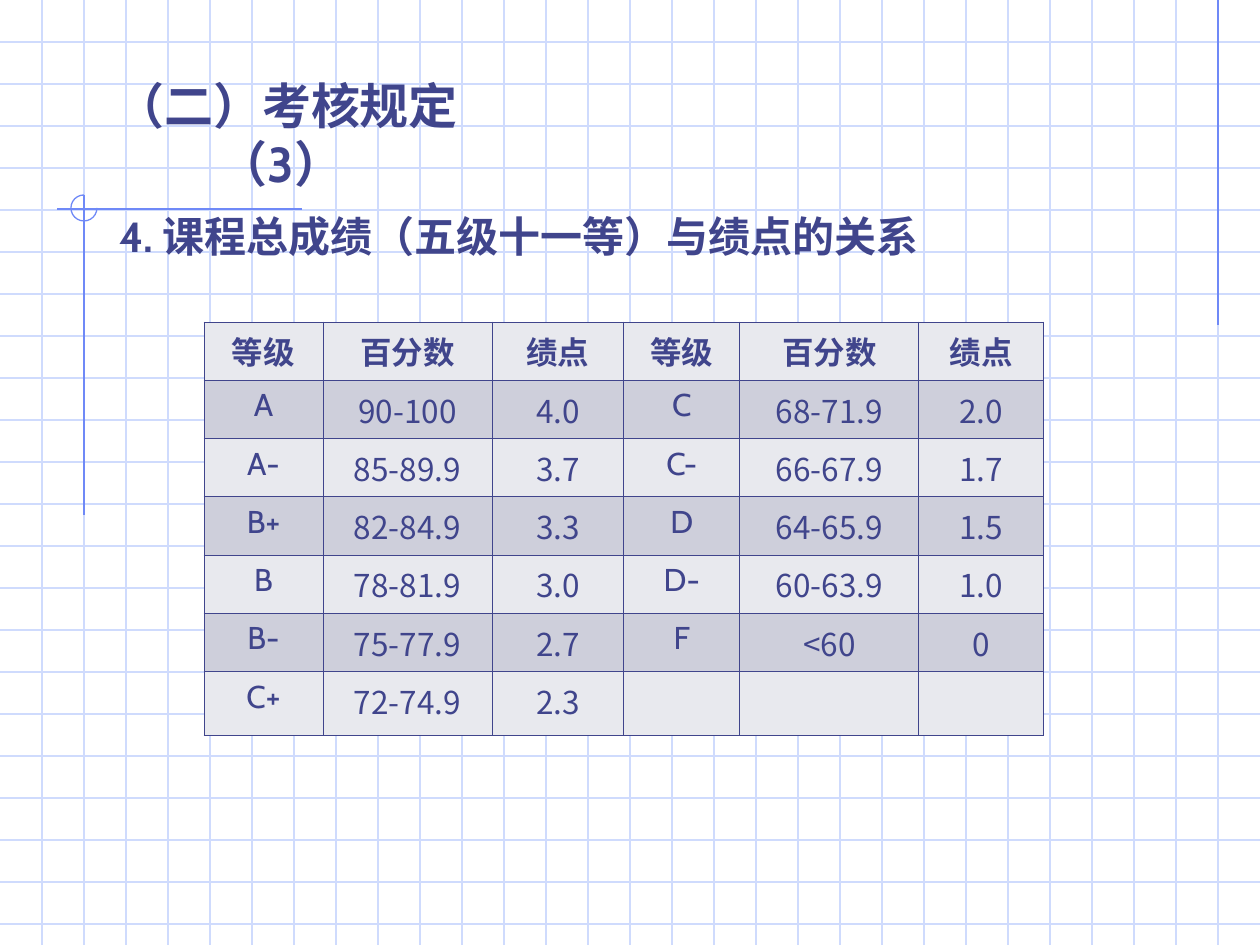
from dataclasses import dataclass

import lxml.etree
import pptx
import pptx.dml.color
import pptx.enum.shapes
import pptx.enum.text
import pptx.oxml.ns
import pptx.util

PX = 914400 / 126  # EMU per px
SLIDE_W, SLIDE_H = 1260, 945
GRID_STEP = 42
qn = pptx.oxml.ns.qn


@dataclass(frozen=True)
class Theme:
    ink: str = "40458C"
    title_space: str = "660066"
    grid: str = "CFDBFD"
    accent: str = "6F89F7"
    light_row: str = "E8E9EE"
    dark_row: str = "CECFDB"
    latin: str = "Cabin"
    chinese: str = "Noto Sans CJK SC"
    title_size: int = 28
    heading_size: int = 24
    cell_size: int = 18
    empty_cell_size: int = 20
    rule_width: float = 0.75
    border_width: float = 0.45


@dataclass(frozen=True)
class Rule:
    x1: int
    y1: int
    x2: int
    y2: int
    color: str


@dataclass(frozen=True)
class Span:
    text: str
    size: int
    color: str
    bold: bool = True
    font: str = "Cabin"


THEME = Theme()

GRADES = [
    ("等级", "百分数", "绩点", "等级", "百分数", "绩点"),
    ("A", "90-100", "4.0", "C", "68-71.9", "2.0"),
    ("A-", "85-89.9", "3.7", "C-", "66-67.9", "1.7"),
    ("B+", "82-84.9", "3.3", "D", "64-65.9", "1.5"),
    ("B", "78-81.9", "3.0", "D-", "60-63.9", "1.0"),
    ("B-", "75-77.9", "2.7", "F", "<60", "0"),
    ("C+", "72-74.9", "2.3", "", "", ""),
]
COLUMN_WIDTHS = [119, 169, 132, 116, 179, 125]
ROW_HEIGHT = 50
GRADE_COLUMNS = (0, 3)


def emu(px: int) -> int:
    return round(px * PX)


def rgb(color: str) -> pptx.dml.color.RGBColor:
    return pptx.dml.color.RGBColor.from_string(color)


def draw_rule(slide, rule: Rule) -> None:
    line = slide.shapes.add_connector(
        pptx.enum.shapes.MSO_CONNECTOR.STRAIGHT,
        emu(rule.x1), emu(rule.y1), emu(rule.x2), emu(rule.y2))
    line.line.color.rgb = rgb(rule.color)
    line.line.width = pptx.util.Pt(THEME.rule_width)
    lxml.etree.SubElement(line.element.spPr, qn("a:effectLst"))


def add_span(paragraph, span: Span) -> None:
    run = paragraph.add_run()
    run.text = span.text
    run.font.size = pptx.util.Pt(span.size)
    run.font.bold = span.bold
    run.font.color.rgb = rgb(span.color)
    run.font.name = span.font
    east_asian = lxml.etree.SubElement(run.font._element, qn("a:ea"))
    east_asian.set("typeface", THEME.chinese)


def write_line(shape, spans: list[Span]) -> None:
    frame = shape.text_frame
    frame.word_wrap = True
    frame.auto_size = pptx.enum.text.MSO_AUTO_SIZE.NONE
    frame.vertical_anchor = pptx.enum.text.MSO_ANCHOR.MIDDLE
    paragraph = frame.paragraphs[0]
    paragraph.alignment = pptx.enum.text.PP_ALIGN.CENTER
    for span in spans:
        add_span(paragraph, span)


def draw_borders(cell) -> None:
    properties = cell._tc.get_or_add_tcPr()
    for position, side in enumerate(("a:lnL", "a:lnR", "a:lnT", "a:lnB")):
        border = lxml.etree.Element(qn(side), w=str(pptx.util.Pt(THEME.border_width)))
        fill = lxml.etree.SubElement(border, qn("a:solidFill"))
        lxml.etree.SubElement(fill, qn("a:srgbClr"), val=THEME.ink)
        properties.insert(position, border)


def fill_cell(cell, text: str, row: int, column: int) -> None:
    cell.fill.solid()
    cell.fill.fore_color.rgb = rgb(THEME.dark_row if row % 2 else THEME.light_row)
    draw_borders(cell)
    paragraph = cell.text_frame.paragraphs[0]
    paragraph.alignment = pptx.enum.text.PP_ALIGN.CENTER
    if text:
        header = row == 0
        font = THEME.latin if header or column in GRADE_COLUMNS else THEME.chinese
        add_span(paragraph, Span(text, THEME.cell_size, THEME.ink, header, font))
    else:
        end = lxml.etree.SubElement(
            paragraph._p, qn("a:endParaRPr"), sz=str(THEME.empty_cell_size * 100))
        for script in ("a:latin", "a:ea"):
            lxml.etree.SubElement(end, qn(script), typeface=THEME.chinese)


def draw_grade_table(slide, left: int, top: int) -> None:
    table = slide.shapes.add_table(
        len(GRADES), len(COLUMN_WIDTHS), emu(left), emu(top),
        emu(sum(COLUMN_WIDTHS)), emu(ROW_HEIGHT * len(GRADES))).table
    table.first_row = table.horz_banding = False
    for column, width in enumerate(COLUMN_WIDTHS):
        table.columns[column].width = emu(width)
    for row, values in enumerate(GRADES):
        table.rows[row].height = emu(ROW_HEIGHT)
        for column, text in enumerate(values):
            fill_cell(table.cell(row, column), text, row, column)


def draw_backdrop(slide) -> None:
    # Squared paper
    for y in range(GRID_STEP, SLIDE_H, GRID_STEP):
        draw_rule(slide, Rule(0, y, SLIDE_W, y, THEME.grid))
    for x in range(GRID_STEP, SLIDE_W, GRID_STEP):
        draw_rule(slide, Rule(x, 0, x, SLIDE_H, THEME.grid))

    # Accent lines and the three-quarter ring where two of them cross
    for ends in ((1218, 0, 1218, 325), (302, 209, 57, 209), (84, 195, 84, 515)):
        draw_rule(slide, Rule(*ends, THEME.accent))
    ring = slide.shapes.add_shape(
        pptx.enum.shapes.MSO_SHAPE.ARC, emu(71), emu(195), emu(26), emu(26))
    ring.adjustments[0] = 0
    ring.adjustments[1] = 162
    ring.shadow.inherit = False
    ring.fill.background()
    ring.line.color.rgb = rgb(THEME.accent)
    ring.line.width = pptx.util.Pt(THEME.rule_width)


def main() -> None:
    deck = pptx.Presentation()
    deck.slide_width, deck.slide_height = emu(SLIDE_W), emu(SLIDE_H)
    slide = deck.slides.add_slide(deck.slide_layouts[5])
    slide.background.fill.solid()
    slide.background.fill.fore_color.rgb = rgb("FFFFFF")

    draw_backdrop(slide)
    draw_grade_table(slide, 204, 322)

    # Title, brought in front of the backdrop
    title = slide.shapes.title
    slide.shapes.element.append(title.element)
    title.left, title.top, title.width, title.height = map(emu, (48, 96, 466, 76))
    write_line(title, [
        Span(" ", THEME.title_size, THEME.title_space),
        Span("（二）考核规定（3）", THEME.title_size, THEME.ink),
    ])

    # Heading of the table
    heading = slide.shapes.add_textbox(*map(emu, (71, 195, 885, 76)))
    write_line(heading, [
        Span(" ", THEME.title_size, THEME.ink),
        Span("4. 课程总成绩（五级十一等）与绩点的关系", THEME.heading_size, THEME.ink),
    ])

    deck.save("out.pptx")


if __name__ == "__main__":
    main()
